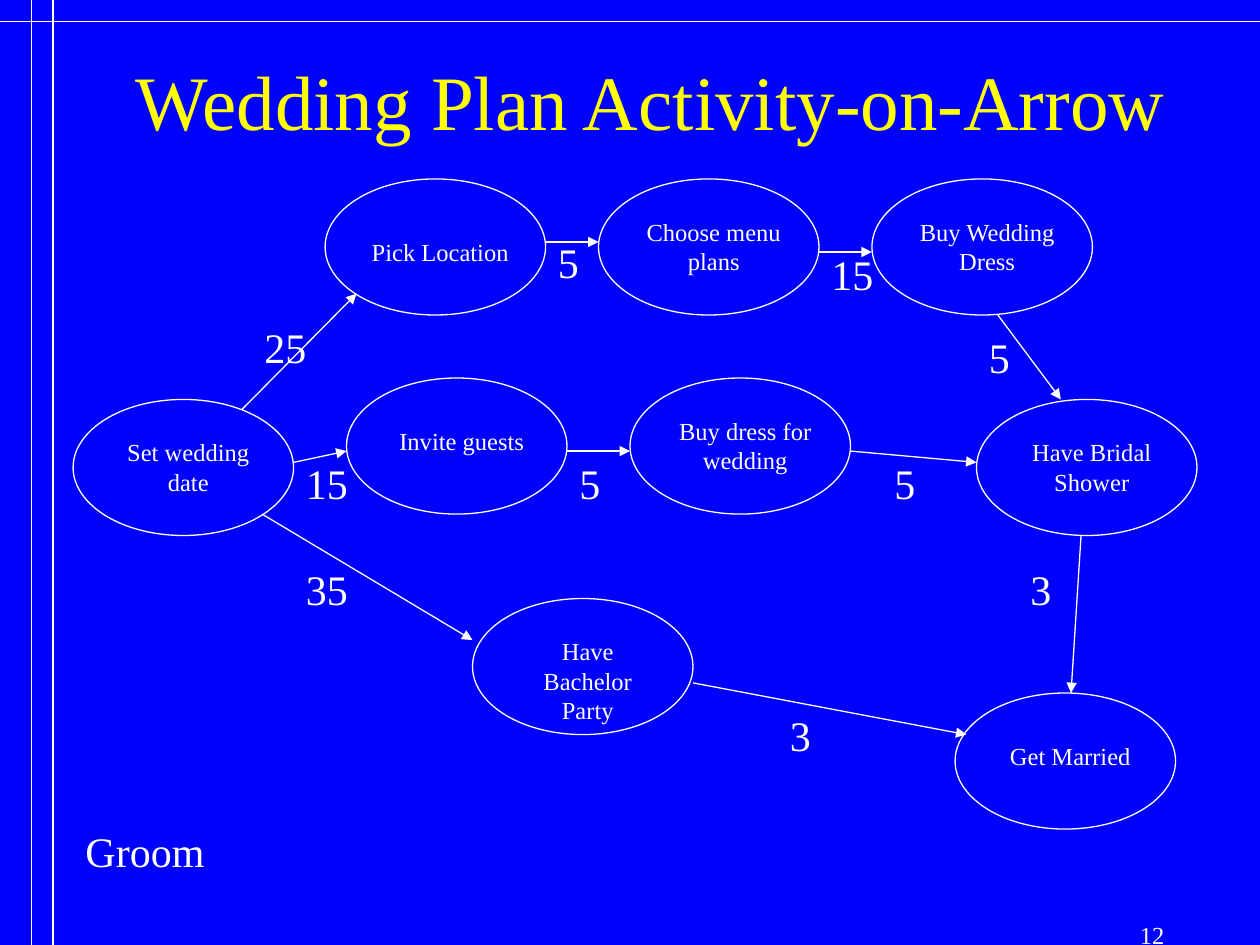
"""Build the wedding plan activity-on-arrow network slide."""
from lxml.etree import SubElement
from pptx import Presentation
from pptx.dml.color import RGBColor
from pptx.enum.shapes import MSO_CONNECTOR, MSO_SHAPE
from pptx.enum.text import MSO_ANCHOR, PP_ALIGN
from pptx.oxml.ns import qn
from pptx.util import Inches, Pt

BLUE = RGBColor(0x00, 0x00, 0xFF)
WHITE = RGBColor(0xFF, 0xFF, 0xFF)
YELLOW = RGBColor(0xFF, 0xFF, 0x00)
FONT = "Times New Roman"
TITLE = "Wedding Plan Activity-on-Arrow"

EVENT_WIDTH, EVENT_HEIGHT = 1.75, 1.08
LABEL_INSET, LABEL_WIDTH = 0.25, 1.33

# name, left, top, label drop, label height
EVENTS = [
    ("Set wedding date", 0.58, 3.17, 0.25, 0.57),
    ("Pick Location", 2.58, 1.42, 0.41, 0.34),
    ("Choose menu plans", 4.75, 1.42, 0.25, 0.57),
    ("Buy Wedding Dress", 6.92, 1.42, 0.25, 0.57),
    ("Invite guests", 2.75, 3, 0.33, 0.34),
    ("Buy dress for wedding", 5, 3, 0.25, 0.57),
    ("Have Bridal Shower", 7.75, 3.17, 0.25, 0.57),
    ("Have Bachelor Party", 3.75, 4.75, 0.25, 0.8),
    ("Get Married", 7.58, 5.5, 0.33, 0.34),
]

# duration, arrow start, arrow end, duration position
ACTIVITIES = [
    ("25", (1.92, 3.25), (2.83, 2.33), (2, 2.5)),
    ("5", (4.33, 1.92), (4.75, 1.92), (4.33, 1.83)),
    ("15", (6.5, 2), (6.92, 2), (6.5, 1.92)),
    ("5", (7.92, 2.5), (8.42, 3.17), (7.75, 2.58)),
    ("15", (2.33, 3.67), (2.75, 3.58), (2.33, 3.58)),
    ("5", (4.5, 3.58), (5, 3.58), (4.5, 3.58)),
    ("5", (6.75, 3.58), (7.75, 3.67), (7, 3.58)),
    ("35", (2.08, 4.08), (3.75, 5.08), (2.33, 4.42)),
    ("3", (5.5, 5.42), (7.67, 5.83), (6.17, 5.58)),
    ("3", (8.58, 4.25), (8.5, 5.5), (8.08, 4.42)),
]

BORDERS = [
    ((0.42, 0), (0.42, 7.5)),
    ((0.25, 0), (0.25, 7.5)),
    ((0, 0.17), (10, 0.17)),
]


def write(frame, text, size, color=WHITE, align=PP_ALIGN.LEFT):
    frame.word_wrap = True
    frame.text = text
    paragraph = frame.paragraphs[0]
    paragraph.alignment = align
    font = paragraph.runs[0].font
    font.name, font.size, font.color.rgb = FONT, Pt(size), color


def add_label(slide, text, left, top, width, height, size=24, align=PP_ALIGN.LEFT):
    label = slide.shapes.add_textbox(*map(Inches, (left, top, width, height)))
    write(label.text_frame, text, size, align=align)


def add_line(slide, start, end, arrow=False):
    connector = slide.shapes.add_connector(
        MSO_CONNECTOR.STRAIGHT, *map(Inches, (*start, *end)))
    connector.line.color.rgb = WHITE
    connector.line.width = Pt(0.75)
    properties = connector._element.spPr
    if arrow:
        SubElement(properties.find(qn("a:ln")), qn("a:tailEnd"), type="triangle")
    SubElement(properties, qn("a:effectLst"))


def add_event(slide, name, left, top, drop, label_height):
    event = slide.shapes.add_shape(
        MSO_SHAPE.OVAL, *map(Inches, (left, top, EVENT_WIDTH, EVENT_HEIGHT)))
    event.shadow.inherit = False
    event.fill.background()
    event.line.color.rgb = WHITE
    event.line.width = Pt(0.75)
    add_label(slide, name, left + LABEL_INSET, top + drop,
              LABEL_WIDTH, label_height, 14, PP_ALIGN.CENTER)


def main():
    deck = Presentation()
    deck.slide_width, deck.slide_height = Inches(10), Inches(7.5)
    slide = deck.slides.add_slide(deck.slide_layouts[5])
    slide.background.fill.solid()
    slide.background.fill.fore_color.rgb = BLUE

    title = slide.shapes.title
    title.left, title.top, title.width, title.height = map(
        Inches, (0.83, 0.17, 8.67, 1.25))
    write(title.text_frame, TITLE, 44, YELLOW, PP_ALIGN.CENTER)
    title.text_frame.vertical_anchor = MSO_ANCHOR.MIDDLE

    for start, end in BORDERS:
        add_line(slide, start, end)
    for event in EVENTS:
        add_event(slide, *event)
    for duration, start, end, (left, top) in ACTIVITIES:
        add_line(slide, start, end, arrow=True)
        add_label(slide, duration, left, top, 0.25 + 0.21 * len(duration), 0.5)

    add_label(slide, "Groom", 0.58, 6.5, 1.92, 0.5)
    add_label(slide, "12", 7.92, 7.25, 1.42, 0.25, 14, PP_ALIGN.RIGHT)
    deck.save("out.pptx")


if __name__ == "__main__":
    main()
